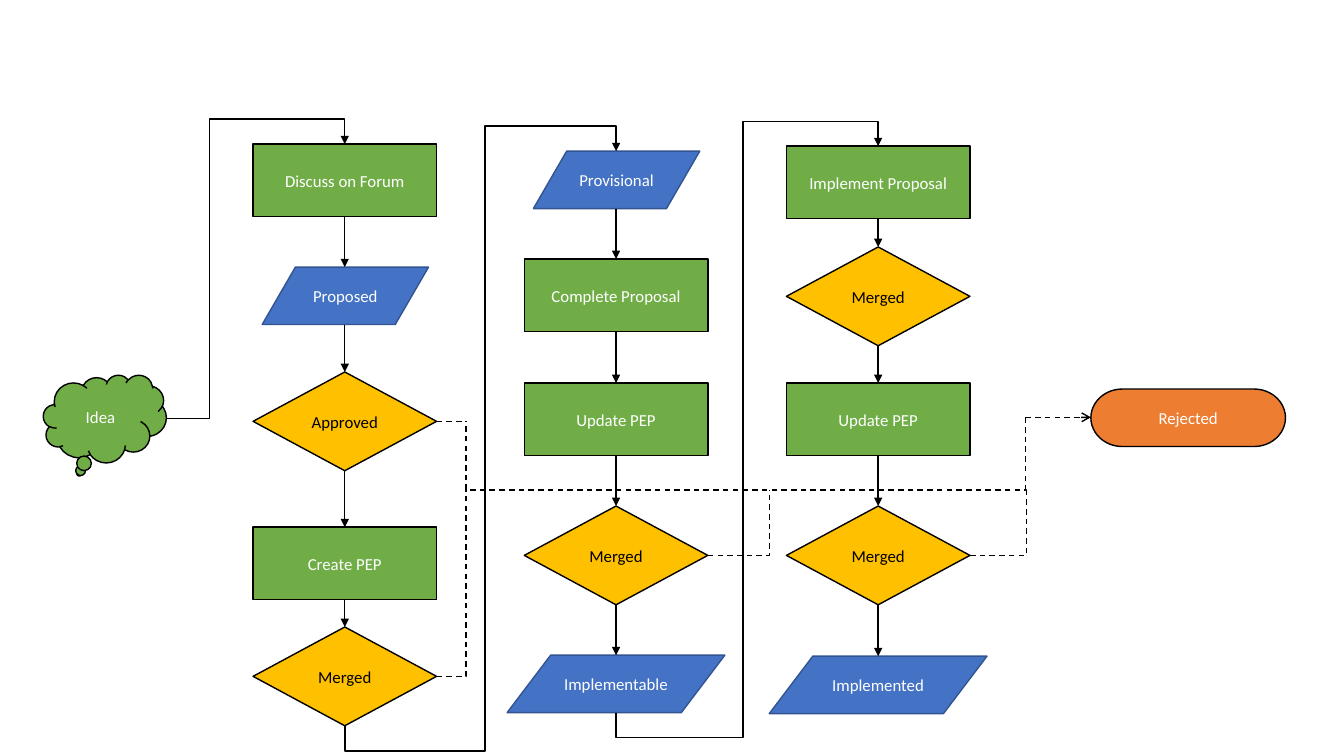
from collections import namedtuple
from itertools import pairwise

from lxml import etree
from pptx import Presentation
from pptx import util as u
from pptx.dml.color import RGBColor
from pptx.enum import dml, shapes, text
from pptx.oxml.ns import qn

PX = u.Inches(1) // 100
Box = namedtuple("Box", "left top width height")
Kind = namedtuple("Kind", "preset width height fill line ink")


class Theme:
    font, size, stroke = "Calibri", u.Pt(12), u.Pt(1)
    black, white = RGBColor(0, 0, 0), RGBColor(255, 255, 255)
    green = RGBColor.from_string("70AD47")
    orange = RGBColor.from_string("ED7D31")
    yellow = RGBColor.from_string("FFC000")
    blue = RGBColor.from_string("4472C4")
    navy = RGBColor.from_string("325491")


PRESET = shapes.MSO_SHAPE
KINDS = {
    "idea": Kind(PRESET.CLOUD_CALLOUT, 122, 87, Theme.green, Theme.black, Theme.white),
    "end": Kind(PRESET.FLOWCHART_TERMINATOR, 193, 57, Theme.orange, Theme.black, Theme.white),
    "process": Kind(PRESET.FLOWCHART_PROCESS, 182, 72, Theme.green, Theme.black, Theme.white),
    "decision": Kind(PRESET.FLOWCHART_DECISION, 182, 98, Theme.yellow, Theme.black, Theme.black),
    "state": Kind(PRESET.FLOWCHART_DATA, 165, 57, Theme.blue, Theme.navy, Theme.white),
    "wide state": Kind(PRESET.FLOWCHART_DATA, 216, 57, Theme.blue, Theme.navy, Theme.white),
}

# Each step: kind, label, distance below the top of its column
COLUMNS = [
    (Box(251, 143, 182, 577), [
        ("process", "Discuss on Forum", 0), ("state", "Proposed", 122),
        ("decision", "Approved", 226), ("process", "Create PEP", 380),
        ("decision", "Merged", 479)]),
    (Box(520, 150, 182, 557), [
        ("state", "Provisional", 0), ("process", "Complete Proposal", 107),
        ("process", "Update PEP", 230), ("decision", "Merged", 352),
        ("wide state", "Implementable", 500)]),
    (Box(780, 145, 182, 563), [
        ("process", "Implement Proposal", 0), ("decision", "Merged", 100),
        ("process", "Update PEP", 235), ("decision", "Merged", 357),
        ("wide state", "Implemented", 506)]),
]
IDEA = Box(43, 372, 122, 87)
REJECTED = Box(1082, 386, 193, 57)
BRANCHES = Box(433, 414, 649, 257)


def set_values(target, values):
    for name, value in values.items():
        setattr(target, name, value)


def add_node(slide, kind_name, label, center, top):
    kind = KINDS[kind_name]
    shape = slide.shapes.add_shape(
        kind.preset, (center - kind.width // 2) * PX, top * PX,
        kind.width * PX, kind.height * PX)
    shape.shadow.inherit = False
    shape.fill.solid()
    shape.fill.fore_color.rgb = kind.fill
    shape.line.color.rgb = kind.line
    shape.line.width = Theme.stroke
    frame = shape.text_frame
    set_values(frame, {"word_wrap": True, "vertical_anchor": text.MSO_ANCHOR.MIDDLE})
    paragraph = frame.paragraphs[0]
    set_values(paragraph, {"text": label, "alignment": text.PP_ALIGN.CENTER})
    set_values(paragraph.runs[0].font, {"name": Theme.font, "size": Theme.size})
    paragraph.runs[0].font.color.rgb = kind.ink


def style_line(line, dashed):
    line.color.rgb = Theme.black
    line.width = Theme.stroke
    if dashed:
        line.dash_style = dml.MSO_LINE.DASH


def add_line(slide, begin, end, head=None, dashed=False, kind=shapes.MSO_CONNECTOR.STRAIGHT):
    connector = slide.shapes.add_connector(kind, *(round(value * PX) for value in (*begin, *end)))
    style_line(connector.line, dashed)
    if head:
        etree.SubElement(connector.line._get_or_add_ln(), qn("a:tailEnd"), type=head)
    etree.SubElement(connector._element.spPr, qn("a:effectLst"))
    return connector


def add_elbow(slide, begin, stops, end, head=None, dashed=False, downward=False):
    """Bend at each stop, a coordinate on alternating axes: x first, or y if downward."""
    axis = 1 if downward else 0
    ends = begin, end
    if downward:  # the frame is turned a quarter back, then rotated into place
        middle_x, middle_y = ((begin[i] + end[i]) / 2 for i in (0, 1))
        ends = [(middle_x + y - middle_y, middle_y - x + middle_x) for x, y in ends]
    connector = add_line(slide, *ends, head, dashed, shapes.MSO_CONNECTOR.ELBOW)
    properties = connector._element.spPr
    if downward:
        properties.find(qn("a:xfrm")).set("rot", str(90 * 60000))
    geometry = properties.find(qn("a:prstGeom"))
    geometry.set("prst", f"bentConnector{len(stops) + 2}")
    guides = geometry.find(qn("a:avLst"))
    for index, stop in enumerate(stops):
        side = (axis + index) % 2
        share = (stop - begin[side]) / (end[side] - begin[side])
        etree.SubElement(guides, qn("a:gd"), name=f"adj{index + 1}",
                         fmla=f"val {round(share * 100000)}")


def center_of(box):
    return box.left + box.width // 2


def draw_column(slide, box, steps):
    center = center_of(box)
    for kind, label, offset in steps:
        add_node(slide, kind, label, center, box.top + offset)
    for (kind, _, offset), (_, _, next_offset) in pairwise(steps):
        bottom = box.top + offset + KINDS[kind].height
        add_line(slide, (center, bottom), (center, box.top + next_offset), "triangle")


def draw_idea(slide, box, target):
    add_node(slide, "idea", "Idea", center_of(box), box.top)
    add_elbow(slide, (box.left + box.width, box.top + box.height // 2),
              [box.left + box.width + 43, target.top - 25],
              (center_of(target), target.top), "triangle")


def draw_wrap(slide, source, target, lane):
    """Lead from the foot of one column up the lane to the head of the next."""
    bottom = source.top + source.height
    add_elbow(slide, (center_of(source), bottom), [bottom + 25, lane, target.top - 25],
              (center_of(target), target.top), "triangle", downward=True)


def draw_branches(slide, box):
    """Gather the dashed exits of the decisions into one arrow."""
    def at(x, y):
        return box.left + x, box.top + y

    trunk, riser, bus = 29, 584, 72
    builder = slide.shapes.build_freeform(*at(riser, 0), scale=PX)
    builder.add_line_segments([at(riser, bus), at(trunk, bus), at(trunk, 4)], close=False)
    outline = builder.convert_to_shape()
    outline.shadow.inherit = False
    outline.fill.background()
    style_line(outline.line, True)
    add_line(slide, at(riser, 0), at(box.width, 0), "arrow", True)
    add_line(slide, at(0, 4), at(trunk, 4), dashed=True)
    add_elbow(slide, at(0, box.height), [box.left + trunk], at(trunk, bus), dashed=True)
    add_elbow(slide, at(269, 137), [], at(330, bus), dashed=True)
    add_elbow(slide, at(529, 137), [box.left + riser + 1], at(riser, bus), dashed=True)


def main():
    presentation = Presentation()
    set_values(presentation, {"slide_width": 1333 * PX, "slide_height": 750 * PX})
    slide = presentation.slides.add_slide(presentation.slide_layouts[6])
    boxes = [box for box, _ in COLUMNS]
    for box, steps in COLUMNS:
        draw_column(slide, box, steps)
    draw_idea(slide, IDEA, boxes[0])
    add_node(slide, "end", "Rejected", center_of(REJECTED), REJECTED.top)
    draw_branches(slide, BRANCHES)
    for (source, target), lane in zip(pairwise(boxes), (481, 737)):
        draw_wrap(slide, source, target, lane)
    presentation.save("out.pptx")


if __name__ == "__main__":
    main()
